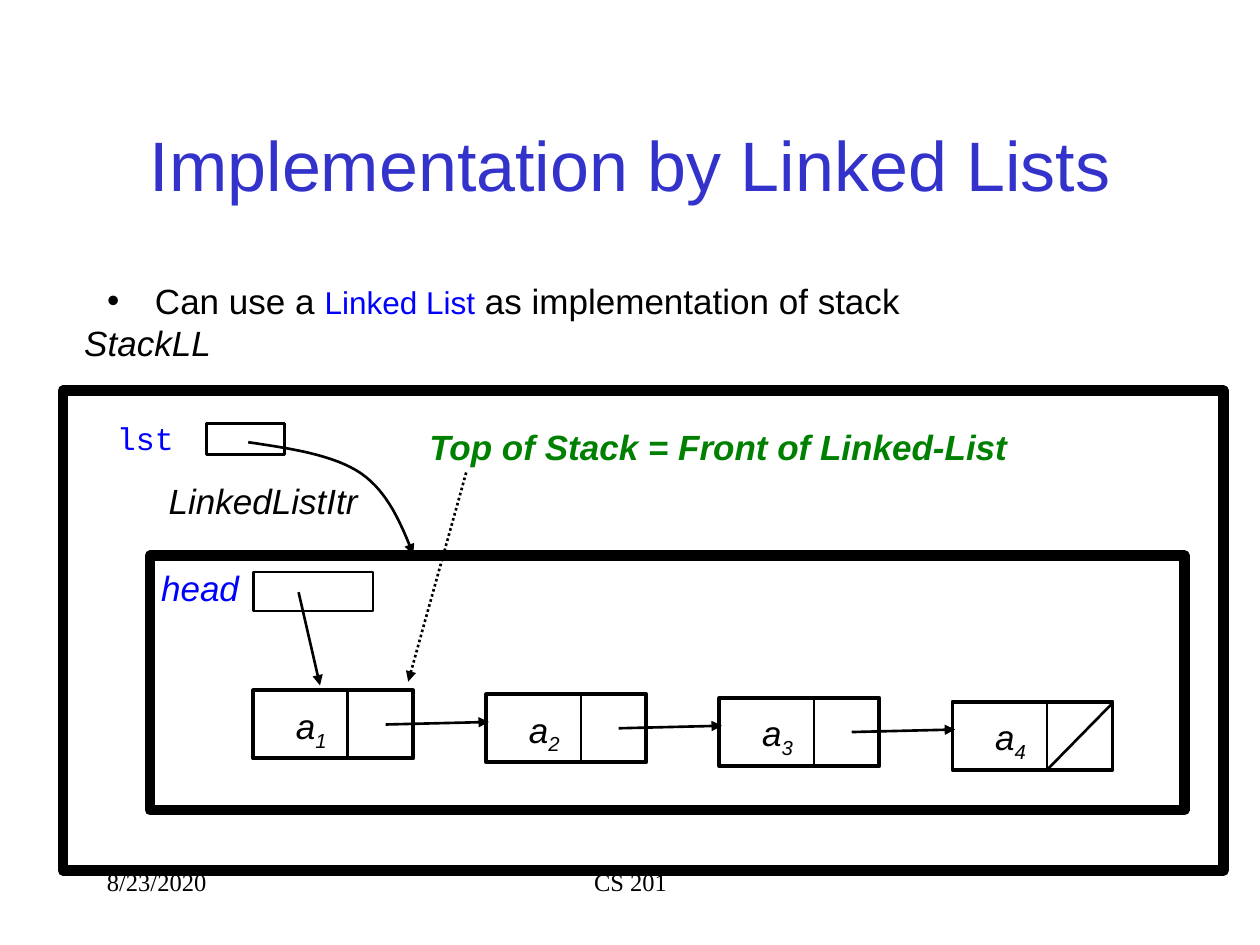
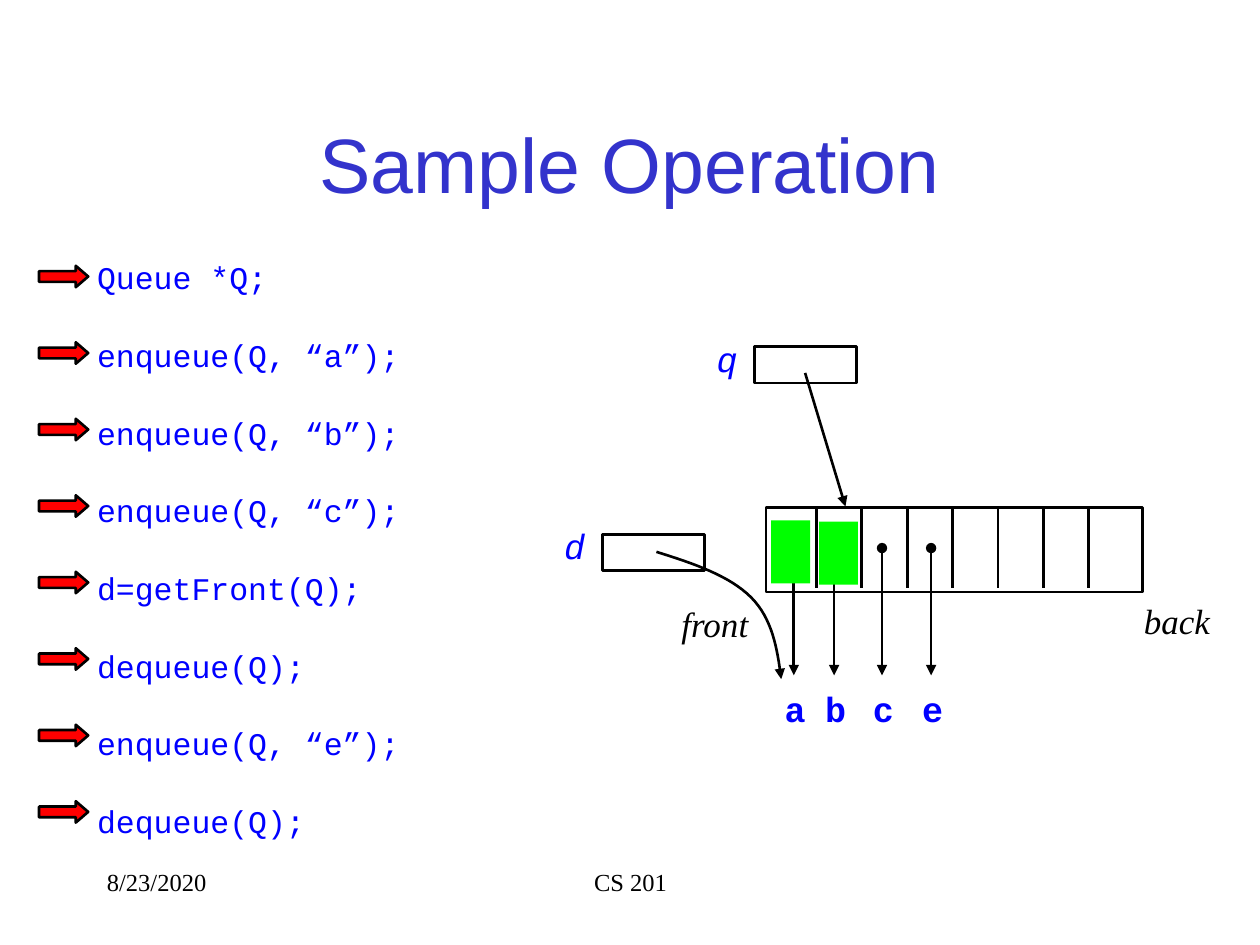
from lxml import etree
from pptx import Presentation
from pptx.dml.color import RGBColor
from pptx.enum.dml import MSO_LINE
from pptx.enum.shapes import MSO_CONNECTOR, MSO_SHAPE
from pptx.enum.text import MSO_ANCHOR, MSO_AUTO_SIZE, PP_ALIGN
from pptx.oxml.ns import qn
from pptx.util import Emu, Inches, Pt

RECT, ARROW = MSO_SHAPE.RECTANGLE, MSO_SHAPE.RIGHT_ARROW
STRAIGHT, DOTTED = MSO_CONNECTOR.STRAIGHT, MSO_LINE.ROUND_DOT
LEFT, CENTER = PP_ALIGN.LEFT, PP_ALIGN.CENTER
TOP, MIDDLE = MSO_ANCHOR.TOP, MSO_ANCHOR.MIDDLE
NO_FIT = MSO_AUTO_SIZE.NONE

# Shared look
C = {"title": "3333CC", "ink": "000000", "code": "0000FF",
     "note": "008000", "cell": "00FF00", "step": "FF0000"}
SANS, MONO, SERIF = "Arial", "Courier New", "Times New Roman"
THIN = 1.5
TITLE_BOX = (0.75, 0.67, 8.5, 1.25)
FOOTERS = [("8/23/2020", (0.75, 6.83, 2.08, 0.5), LEFT),
           ("CS 201", (3.42, 6.83, 3.17, 0.5), CENTER)]

# Linked list slide: text, box, style
BULLET = [("Can use a ", 20, "ink"), ("Linked List", 18, "code"),
          (" as implementation of stack", 20, "ink")]
STACK_LABELS = [
    ("Top of Stack = Front of Linked-List", (3.31, 3.33, 4.86, 0.43),
     dict(color="note", bold=True, italic=True)),
    ("StackLL", (0.57, 2.5, 1.21, 0.43), dict(italic=True)),
    ("lst", (0.83, 3.28, 0.65, 0.4), dict(size=18, font=MONO, color="code")),
    ("LinkedListItr", (1.24, 3.76, 1.7, 0.43), dict(italic=True)),
    ("head", (1.18, 4.45, 0.82, 0.43), dict(color="code", italic=True)),
]
STACK_BOXES = [((0.5, 3.1, 9.21, 3.81), 6), ((1.19, 4.41, 8.21, 2.02), 6),
               ((1.64, 3.36, 0.62, 0.25), THIN), ((2.01, 4.54, 0.95, 0.31), THIN)]
LST_CURVE = [(1.97, 3.51), (2.31, 3.56), (2.65, 3.61), (2.87, 3.76),
             (3.08, 3.91), (3.18, 4.15), (3.28, 4.4)]
NODES = ["1", "2", "3", "4"]
NODE_X, NODE_Y, NODE_W, NODE_H = 2.01, 5.48, 1.27, 0.54
NODE_DX, NODE_DY, DIVIDER = 1.85, 0.03, 0.75

# Queue slide
CALLS = ["Queue *Q;", "enqueue(Q, “a”);", "enqueue(Q, “b”);", "enqueue(Q, “c”);",
         "d=getFront(Q);", "dequeue(Q);", "enqueue(Q, “e”);", "dequeue(Q);"]
QUEUE_LABELS = [
    ("q", (5.59, 2.63, 0.37, 0.43), dict(font=MONO, color="code", italic=True)),
    ("d", (4.38, 4.11, 0.37, 0.43), dict(font=MONO, color="code", italic=True)),
    ("front", (5.31, 4.73, 0.74, 0.43), dict(font=SERIF, italic=True)),
    ("back", (8.98, 4.71, 0.73, 0.43), dict(font=SERIF, italic=True)),
]
QUEUE_BOXES = [(5.99, 2.75, 0.81, 0.29), (4.78, 4.24, 0.81, 0.29),
               (6.08, 4.03, 2.99, 0.67)]
CELL_X, CELL_W, CELL_EDGES = 6.48, 0.36, 7
ITEMS = [("a", 6.3), ("b", 6.62), ("c", 7), ("e", 7.39)]
REMOVED = [(6.12, 4.13, 0.31, 0.5), (6.5, 4.14, 0.31, 0.5)]
D_CURVE = [(5.21, 4.38), (5.5, 4.47), (5.79, 4.57), (5.96, 4.74),
           (6.13, 4.91), (6.17, 5.15), (6.2, 5.39)]


def rgb(name):
    return RGBColor.from_string(C[name])


def emu(values):
    return [Inches(v) for v in values]


def place(shape, box):
    shape.left, shape.top, shape.width, shape.height = emu(box)


def add_run(p, text, size=20, font=SANS, color="ink", bold=False, italic=False):
    r = p.add_run()
    r.text = text
    f = r.font
    f.size, f.name, f.bold, f.italic = Pt(size), font, bold, italic
    f.color.rgb = rgb(color)
    return r


def add_label(s, text, box, align=LEFT, wrap=False, **style):
    tf = s.shapes.add_textbox(*emu(box)).text_frame
    tf.word_wrap = wrap
    p = tf.paragraphs[0]
    p.alignment = align
    add_run(p, text, **style)
    return p


def set_line(line, width=THIN, head=None, tail=None, dash=None):
    line.color.rgb = rgb("ink")
    line.width = Pt(width)
    if dash:
        line.dash_style = dash
    ln = line._get_or_add_ln()
    for tag, kind in (("a:headEnd", head), ("a:tailEnd", tail)):
        if kind:
            etree.SubElement(ln, qn(tag)).set("type", kind)


def add_line(s, start, end, **style):
    c = s.shapes.add_connector(STRAIGHT, *emu(start + end))
    set_line(c.line, **style)
    etree.SubElement(c._element.spPr, qn("a:effectLst"))


def add_box(s, box, width=THIN, fill=None, kind=RECT):
    sp = s.shapes.add_shape(kind, *emu(box))
    sp.shadow.inherit = False
    if fill:
        sp.fill.solid()
        sp.fill.fore_color.rgb = rgb(fill)
    else:
        sp.fill.background()
    if width:
        set_line(sp.line, width)
    else:
        sp.line.fill.background()
    return sp


def add_curve(s, controls, steps=16):
    """Trace joined cubic Bezier curves and end them with an arrowhead."""
    points = []
    for k in range(0, len(controls) - 1, 3):
        a, b, c, d = controls[k:k + 4]
        for n in range(1, steps + 1):
            t = n / steps
            u = 1 - t
            points.append([Inches(u**3 * w + 3 * u * u * t * x + 3 * u * t * t * y + t**3 * z)
                           for w, x, y, z in zip(a, b, c, d)])
    builder = s.shapes.build_freeform(*emu(controls[0]), scale=1.0)
    builder.add_line_segments(points, close=False)
    sp = builder.convert_to_shape()
    sp.shadow.inherit = False
    sp.fill.background()
    set_line(sp.line, tail="triangle")


def set_bullet(p, char=None, margin=0.0):
    pPr = p._p.get_or_add_pPr()
    pPr.set("marL", str(Inches(margin)))
    pPr.set("indent", str(-Inches(margin)))
    if char:
        etree.SubElement(pPr, qn("a:buChar")).set("char", char)
    else:
        etree.SubElement(pPr, qn("a:buNone"))


def new_slide(prs, title, size, body_box):
    s = prs.slides.add_slide(prs.slide_layouts[1])
    heading, body = s.shapes.title, s.placeholders[1]
    for sp, box, anchor in ((heading, TITLE_BOX, MIDDLE), (body, body_box, TOP)):
        place(sp, box)
        tf = sp.text_frame
        tf.auto_size, tf.word_wrap, tf.vertical_anchor = NO_FIT, True, anchor
    p = heading.text_frame.paragraphs[0]
    p.alignment = CENTER
    add_run(p, title, size, color="title")
    for text, box, align in FOOTERS:
        add_label(s, text, box, align, wrap=True, size=14, font=SERIF)
    return s, body.text_frame


def linked_list_slide(prs):
    s, tf = new_slide(prs, "Implementation by Linked Lists", 40, (0.75, 2.17, 8.5, 4.5))
    p = tf.paragraphs[0]
    set_bullet(p, "•", 0.38)
    p.space_before = Pt(0)
    for text, size, color in BULLET:
        add_run(p, text, size, color=color)

    # Frames, reference cells and their labels
    for box, width in STACK_BOXES:
        add_box(s, box, width)
    for text, box, style in STACK_LABELS:
        add_label(s, text, box, **style)

    # Nodes, each linked to the next
    for i, index in enumerate(NODES):
        x, y = NODE_X + i * NODE_DX, NODE_Y + i * NODE_DY
        split = x + DIVIDER
        add_box(s, (x, y, NODE_W, NODE_H), 2.25)
        add_line(s, (split, y - 0.01), (split, y + NODE_H))
        p = add_label(s, "a", (x + 0.24, y + 0.06, 0.46, 0.43), italic=True)
        r = add_run(p, index, italic=True)
        r.font._element.set("baseline", "-25000")
        if i < len(NODES) - 1:
            add_line(s, (x + 1.05, y + 0.27), (x + 1.87, y + 0.25), tail="triangle")
        else:
            add_line(s, (x + NODE_W, y + 0.01), (split, y + NODE_H))

    # References
    add_line(s, (2.37, 4.7), (2.54, 5.44), tail="triangle")
    add_line(s, (3.7, 3.75), (3.24, 5.41), tail="triangle", dash=DOTTED)
    add_curve(s, LST_CURVE)


def queue_slide(prs):
    s, tf = new_slide(prs, "Sample Operation", 44, (0.67, 2, 4, 4.61))

    # Calls, each with a step arrow
    for i, call in enumerate(CALLS):
        p = tf.paragraphs[0] if i == 0 else tf.add_paragraph()
        set_bullet(p)
        p.space_before = Pt(22.8 if i else 0)
        add_run(p, call, 18, MONO, "code")
        arrow = add_box(s, (0.31, 2.11 + i * 0.607, 0.39, 0.17), fill="step", kind=ARROW)
        arrow.adjustments[0], arrow.adjustments[1] = 0.5, 0.58

    # Queue array and references
    for box in QUEUE_BOXES:
        add_box(s, box)
    for i in range(CELL_EDGES):
        x = CELL_X + i * CELL_W
        add_line(s, (x, 4.03), (x, 4.67))
    for text, box, style in QUEUE_LABELS:
        add_label(s, text, box, **style)
    add_line(s, (6.39, 2.96), (6.71, 4.02), tail="triangle")
    add_curve(s, D_CURVE)

    # Items, with the removed ones covered
    for name, x in ITEMS:
        add_line(s, (x, 4.35), (x, 5.36), head="oval", tail="triangle")
        add_label(s, name, (x - 0.17, 5.41, 0.37, 0.43), font=MONO, color="code", bold=True)
    for box in REMOVED:
        add_box(s, box, width=0, fill="cell")


def main():
    prs = Presentation()
    prs.slide_width, prs.slide_height = Emu(9144000), Emu(6858000)
    linked_list_slide(prs)
    queue_slide(prs)
    prs.save("out.pptx")


if __name__ == "__main__":
    main()
